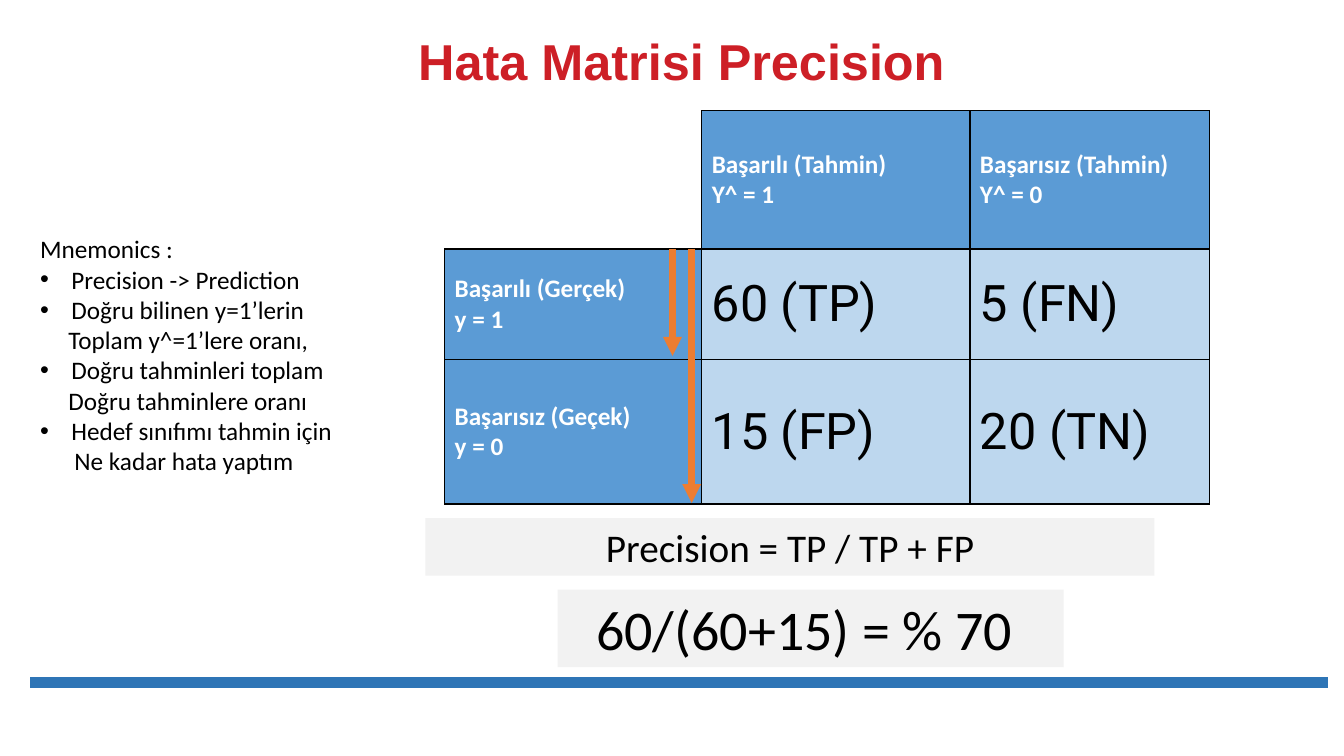
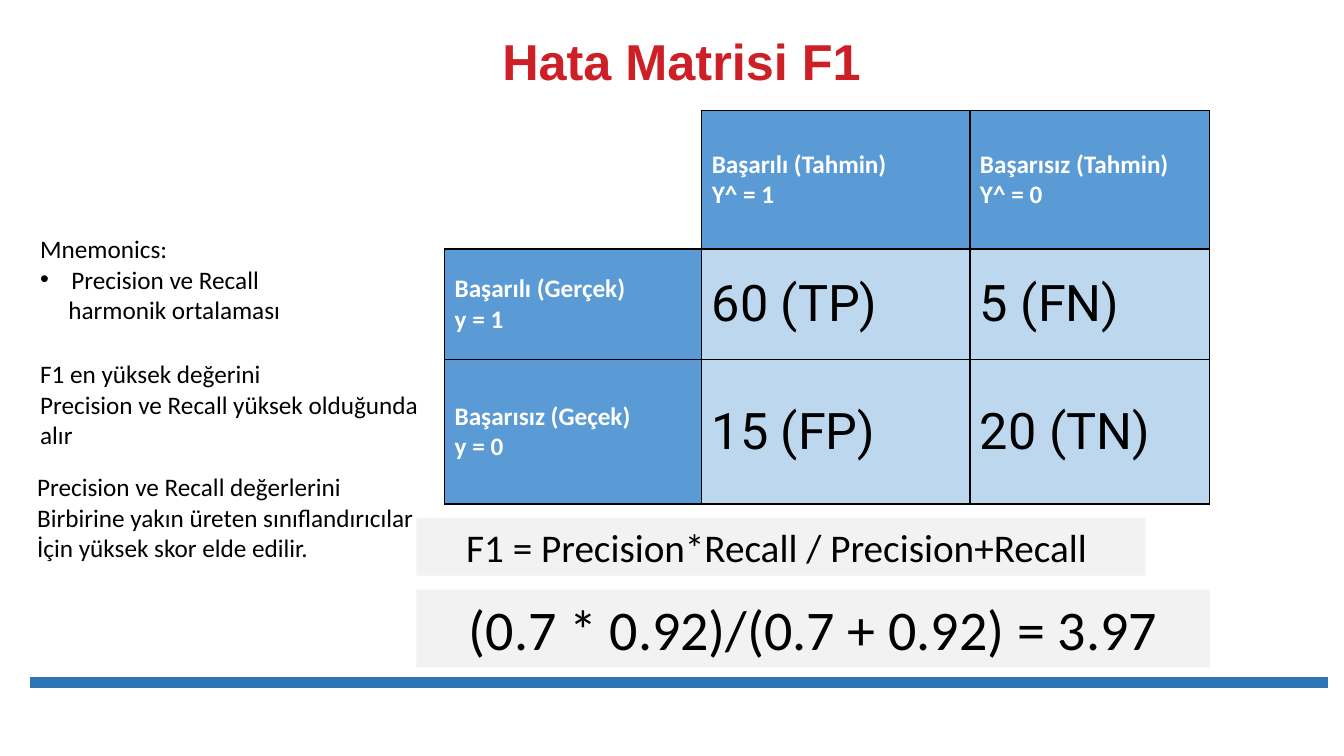
import dataclasses

import lxml.etree
import pptx
import pptx.dml.color
import pptx.enum.shapes
import pptx.enum.text
import pptx.oxml.ns
import pptx.util

Inches = pptx.util.Inches
Pt = pptx.util.Pt
qn = pptx.oxml.ns.qn
RGB = pptx.dml.color.RGBColor.from_string


@dataclasses.dataclass(frozen=True)
class Theme:
    title: str = "CD1F26"
    rule: str = "2E75B6"
    arrow: str = "ED7D31"
    header: str = "5B9BD5"
    value: str = "BDD7EE"
    formula: str = "F2F2F2"
    ink: str = "000000"
    paper: str = "FFFFFF"
    title_font: str = "Arial"
    body_font: str = "Calibri"
    value_font: str = "Roboto"
    title_size: int = 36
    value_size: int = 36
    body_size: int = 18
    formula_size: int = 28
    result_size: int = 40


THEME = Theme()
ALIGN = pptx.enum.text.PP_ALIGN
MIDDLE = pptx.enum.text.MSO_ANCHOR.MIDDLE

MATRIX_COLUMNS = [2.55, 2.66, 2.38]
MATRIX_ROWS = [1.37, 1.1, 1.43]
MATRIX = [
    [[], ["Başarılı (Tahmin)", "Y^ = 1"], ["Başarısız (Tahmin)", "Y^ = 0"]],
    [["Başarılı (Gerçek)", "y = 1"], ["60 (TP)"], ["5 (FN)"]],
    [["Başarısız (Geçek)", "y = 0"], ["15 (FP)"], ["20 (TN)"]],
]

BULLET = 0.31
FOLLOW = 0.28

# Formulas: left, width, text. Arrows: x, bottom.
# Notes: left, top, width, height, lines; an indented line is (text, indent).
SLIDES = [
    {
        "title": "Hata Matrisi Precision",
        "formula": (4.22, 7.23, "Precision = TP / TP + FP"),
        "result": (5.53, 5.02, "60/(60+15) = % 70 "),
        "arrows": [(6.67, 3.53), (6.86, 4.99)],
        "notes": [
            (0.3, 2.27, 3.19, 2.52, [
                "Mnemonics :",
                ("Precision -> Prediction", BULLET),
                ("Doğru bilinen y=1’lerin", BULLET),
                ("Toplam y^=1’lere oranı,", FOLLOW),
                ("Doğru tahminleri toplam", BULLET),
                ("Doğru tahminlere oranı", FOLLOW),
                ("Hedef sınıfımı tahmin için", BULLET),
                ("Ne kadar hata yaptım", 0.34),
            ]),
        ],
    },
    {
        "title": "Hata Matrisi F1",
        "formula": (4.13, 7.23, "F1 = Precision*Recall / Precision+Recall "),
        "result": (4.13, 7.87, "(0.7 * 0.92)/(0.7 + 0.92) = 3.97"),
        "arrows": [],
        "notes": [
            (0.3, 2.27, 2.61, 1.01, [
                "Mnemonics:",
                ("Precision ve Recall", BULLET),
                ("harmonik ortalaması", FOLLOW),
            ]),
            (0.3, 3.51, 4.09, 1.01, [
                "F1 en yüksek değerini",
                "Precision ve Recall yüksek olduğunda",
                "alır",
            ]),
            (0.27, 4.63, 3.98, 1.01, [
                "Precision ve Recall değerlerini",
                "Birbirine yakın üreten sınıflandırıcılar",
                "İçin yüksek skor elde edilir.",
            ]),
        ],
    },
]


def write(frame, lines, size, font=THEME.body_font, color=THEME.ink, bold=False, align=ALIGN.LEFT):
    """Write one paragraph per line; a line is text or (text, indent)."""
    frame.word_wrap = True
    for index, line in enumerate(lines):
        text, indent = (line, 0) if isinstance(line, str) else line
        paragraph = frame.paragraphs[0] if index == 0 else frame.add_paragraph()
        paragraph.text = text
        paragraph.alignment = align
        if indent:
            properties = paragraph._p.get_or_add_pPr()
            properties.set("marL", str(Inches(indent)))
            if indent == BULLET:
                properties.set("indent", str(-Inches(indent)))
                lxml.etree.SubElement(properties, qn("a:buFont")).set("typeface", "Arial")
                lxml.etree.SubElement(properties, qn("a:buChar")).set("char", "•")
        paragraph.font.size = Pt(size)
        paragraph.font.name = font
        paragraph.font.bold = bold
        paragraph.font.color.rgb = RGB(color)


def add_line(page, start, end, color, width, arrow=False):
    line = page.shapes.add_connector(
        pptx.enum.shapes.MSO_CONNECTOR.STRAIGHT, *map(Inches, start + end))
    line.line.color.rgb = RGB(color)
    line.line.width = Pt(width)
    if arrow:
        lxml.etree.SubElement(line.line._get_or_add_ln(), qn("a:tailEnd")).set("type", "triangle")
    lxml.etree.SubElement(line._element.spPr, qn("a:effectLst"))


deck = pptx.Presentation()
deck.slide_width, deck.slide_height = Inches(13.33), Inches(7.5)
title_only = deck.slide_layouts[5]

for content in SLIDES:
    page = deck.slides.add_slide(title_only)
    title = page.shapes.title
    title.left, title.top, title.width, title.height = map(Inches, (2.15, 0.31, 9.22, 0.65))
    title.text_frame.vertical_anchor = MIDDLE
    write(title.text_frame, [content["title"]], THEME.title_size, THEME.title_font,
          THEME.title, True, ALIGN.CENTER)
    title.text_frame.paragraphs[0].line_spacing = 0.9

    add_line(page, (0.3, 6.77), (13.17, 6.77), THEME.rule, 8)

    matrix = page.shapes.add_table(
        len(MATRIX_ROWS), len(MATRIX_COLUMNS), Inches(4.41), Inches(1.1),
        Inches(sum(MATRIX_COLUMNS)), Inches(sum(MATRIX_ROWS))).table
    matrix.first_row = matrix.horz_banding = False
    for column, width in zip(matrix.columns, MATRIX_COLUMNS):
        column.width = Inches(width)
    for row, height in zip(matrix.rows, MATRIX_ROWS):
        row.height = Inches(height)
    for row_index, row_texts in enumerate(MATRIX):
        for column_index, lines in enumerate(row_texts):
            cell = matrix.cell(row_index, column_index)
            cell.vertical_anchor = MIDDLE
            properties = cell._tc.get_or_add_tcPr()
            for side in ("L", "R", "T", "B") if lines else ("R", "B"):
                border = lxml.etree.SubElement(properties, qn(f"a:ln{side}"), w=str(Pt(1)))
                fill = lxml.etree.SubElement(border, qn("a:solidFill"))
                lxml.etree.SubElement(fill, qn("a:srgbClr")).set("val", THEME.ink)
            if not lines:
                cell.fill.background()
                continue
            is_value = row_index > 0 and column_index > 0
            cell.fill.solid()
            cell.fill.fore_color.rgb = RGB(THEME.value if is_value else THEME.header)
            if is_value:
                write(cell.text_frame, lines, THEME.value_size, THEME.value_font)
            else:
                write(cell.text_frame, lines, THEME.body_size, color=THEME.paper, bold=True)

    for name, top, height, size in (("formula", 5.14, 0.57, THEME.formula_size),
                                    ("result", 5.85, 0.77, THEME.result_size)):
        left, width, text = content[name]
        box = page.shapes.add_shape(
            pptx.enum.shapes.MSO_SHAPE.RECTANGLE, *map(Inches, (left, top, width, height)))
        box.shadow.inherit = False
        box.fill.solid()
        box.fill.fore_color.rgb = RGB(THEME.formula)
        box.line.fill.background()
        write(box.text_frame, [text], size, align=ALIGN.CENTER)

    for x, bottom in content["arrows"]:
        add_line(page, (x, 2.47), (x, bottom), THEME.arrow, 4.5, arrow=True)

    for *place, lines in content["notes"]:
        note = page.shapes.add_textbox(*map(Inches, place))
        write(note.text_frame, lines, THEME.body_size)

deck.save("out.pptx")
